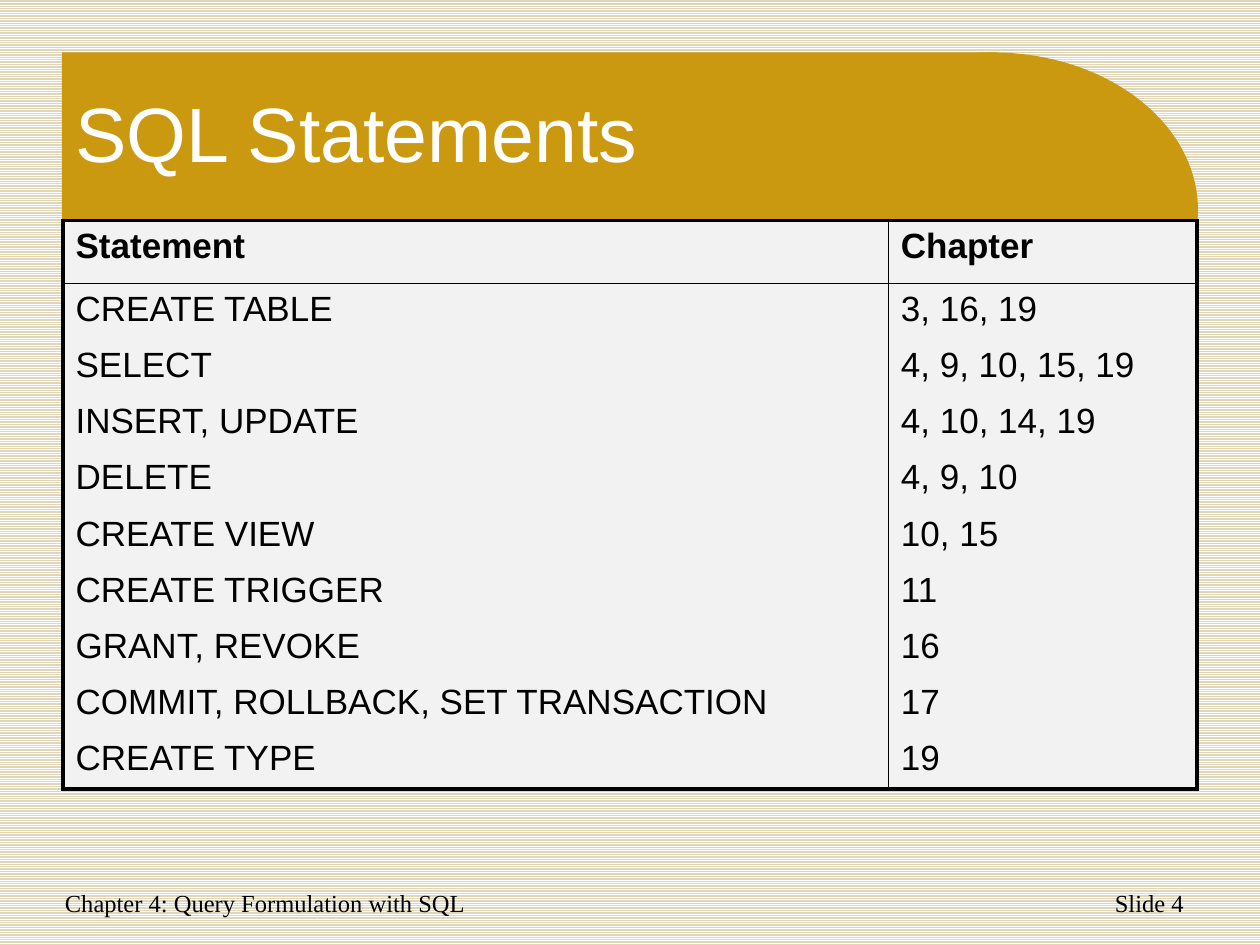
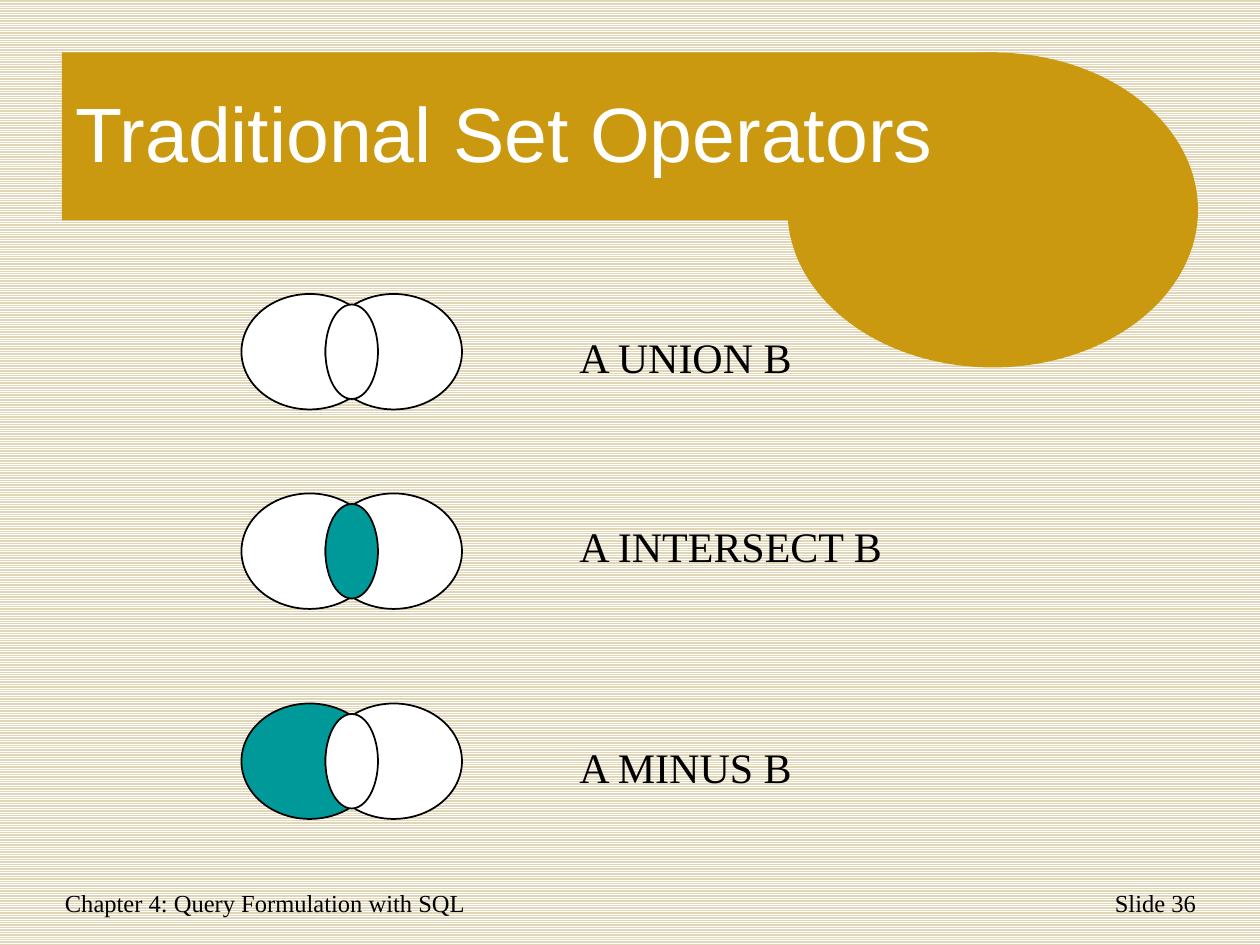
from lxml.etree import SubElement
from pptx import Presentation
from pptx.dml.color import RGBColor as RGB
from pptx.enum.dml import MSO_PATTERN as PATTERN
from pptx.enum.shapes import MSO_SHAPE as SHAPE
from pptx.enum.text import MSO_ANCHOR as ANCHOR, MSO_AUTO_SIZE as AUTO
from pptx.oxml.ns import qn
from pptx.util import Inches, Pt

COLORS = {
    "gold": "CA9910", "stripe": "E2D6B8", "white": "FFFFFF",
    "black": "000000", "cell": "F2F2F2", "teal": "009999",
}
SANS, SERIF = "Arial", "Times New Roman"
COLS, ROWS = 120, 90
UNIT = Inches(10) / COLS
THICK, THIN = 2.25, 1
FOOTER = "Chapter 4: Query Formulation with SQL"


def color(name):
    """Return a named colour."""
    return RGB.from_string(COLORS[name])


def grid(*units):
    """Turn grid units into lengths."""
    return [round(u * UNIT) for u in units]


class Deck:
    """Holds the style, the presentation and the current slide."""

    def __init__(self):
        self.prs = Presentation()
        self.prs.slide_width, self.prs.slide_height = grid(COLS, ROWS)
        self.s = None

    def slide(self, title, number):
        """Start a slide with its background, band, footer and title."""
        self.s = self.prs.slides.add_slide(self.prs.slide_layouts[6])
        fill = self.s.background.fill
        fill.patterned()
        fill.pattern = PATTERN.NARROW_HORIZONTAL
        fill.fore_color.rgb = color("white")
        fill.back_color.rgb = color("stripe")
        self.shape(SHAPE.RECTANGLE, 5.9, 5, 89, 16, "gold")
        self.shape(SHAPE.OVAL, 75, 5, 39.1, 30, "gold")
        self.text(f"Slide {number}", 105, 84, 11, 4, 14)
        self.text(FOOTER, 5, 84, 44, 4, 14)
        tf = self.text(title, 6, 5, 105, 15, 44, SANS, "white")
        tf.auto_size = AUTO.NONE
        tf.vertical_anchor = ANCHOR.MIDDLE

    def shape(self, kind, x, y, w, h, fill, line=None):
        """Add a filled preset shape, outlined if a line colour is given."""
        sp = self.s.shapes.add_shape(kind, *grid(x, y, w, h))
        sp.shadow.inherit = False
        sp.fill.solid()
        sp.fill.fore_color.rgb = color(fill)
        if line:
            sp.line.color.rgb = color(line)
            sp.line.width = Pt(THIN)
        else:
            sp.line.fill.background()

    def style(self, p, size, font, ink="black", bold=False):
        """Format the runs of a paragraph."""
        for r in p.runs:
            r.font.size, r.font.name, r.font.bold = Pt(size), font, bold
            r.font.color.rgb = color(ink)

    def text(self, words, x, y, w, h, size, font=SERIF, ink="black"):
        """Add a text box and return its text frame."""
        tf = self.s.shapes.add_textbox(*grid(x, y, w, h)).text_frame
        tf.word_wrap = True
        tf.auto_size = AUTO.SHAPE_TO_FIT_TEXT
        tf.text = words
        self.style(tf.paragraphs[0], size, font, ink)
        return tf

    def border(self, cell, side, width):
        """Draw one cell border, or clear it when the width is zero."""
        ln = SubElement(cell._tc.get_or_add_tcPr(), qn(f"a:ln{side}"))
        if not width:
            SubElement(ln, qn("a:noFill"))
            return
        ln.set("w", str(Pt(width)))
        fill = SubElement(ln, qn("a:solidFill"))
        SubElement(fill, qn("a:srgbClr")).set("val", COLORS["black"])

    def table(self, rows, x, y, widths, head, row):
        """Add a framed table with a bold heading row."""
        last, end = len(rows) - 1, len(widths) - 1
        height = head + row * last
        tbl = self.s.shapes.add_table(
            len(rows), len(widths), *grid(x, y, sum(widths), height)).table
        tbl.first_row = tbl.horz_banding = False
        for col, w in zip(tbl.columns, grid(*widths)):
            col.width = w
        for i, values in enumerate(rows):
            tbl.rows[i].height = grid(row if i else head)[0]
            for j, value in enumerate(values):
                cell = tbl.cell(i, j)
                cell.text = value
                self.style(cell.text_frame.paragraphs[0], 20, SANS, bold=i == 0)
                self.border(cell, "L", THIN if j else THICK)
                self.border(cell, "R", THICK if j == end else THIN)
                self.border(cell, "T", {0: THICK, 1: THIN}.get(i, 0))
                self.border(cell, "B", {0: THIN, last: THICK}.get(i, 0))
                cell.fill.solid()
                cell.fill.fore_color.rgb = color("cell")

    def venn(self, y, left="white", lens="white"):
        """Add two overlapping sets and the lens they share."""
        for x, dy, w, h, fill in ((23, 0, 13, 11, left),
                                  (31, 0, 13, 11, "white"),
                                  (31, 1, 5, 9, lens)):
            self.shape(SHAPE.OVAL, x, y + dy, w, h, fill, "black")


STATEMENTS = [
    ("Statement", "Chapter"),
    ("CREATE TABLE", "3, 16, 19"),
    ("SELECT", "4, 9, 10, 15, 19"),
    ("INSERT, UPDATE", "4, 10, 14, 19"),
    ("DELETE", "4, 9, 10"),
    ("CREATE VIEW", "10, 15"),
    ("CREATE TRIGGER", "11"),
    ("GRANT, REVOKE", "16"),
    ("COMMIT, ROLLBACK, SET TRANSACTION", "17"),
    ("CREATE TYPE", "19"),
]
OPERATORS = [
    ("A UNION B", 31, 25, 28, {}),
    ("A INTERSECT B", 49, 33, 47, {"lens": "teal"}),
    ("A MINUS B", 70, 25, 67, {"left": "teal"}),
]

deck = Deck()
deck.slide("SQL Statements", 4)
deck.table(STATEMENTS, 6, 21, (78.6, 29.4), 6, 5.35)

deck.slide("Traditional Set Operators", 36)
for label, label_y, width, venn_y, shading in OPERATORS:
    deck.text(label, 54, label_y, width, 6, 24)
    deck.venn(venn_y, **shading)

deck.prs.save("out.pptx")
